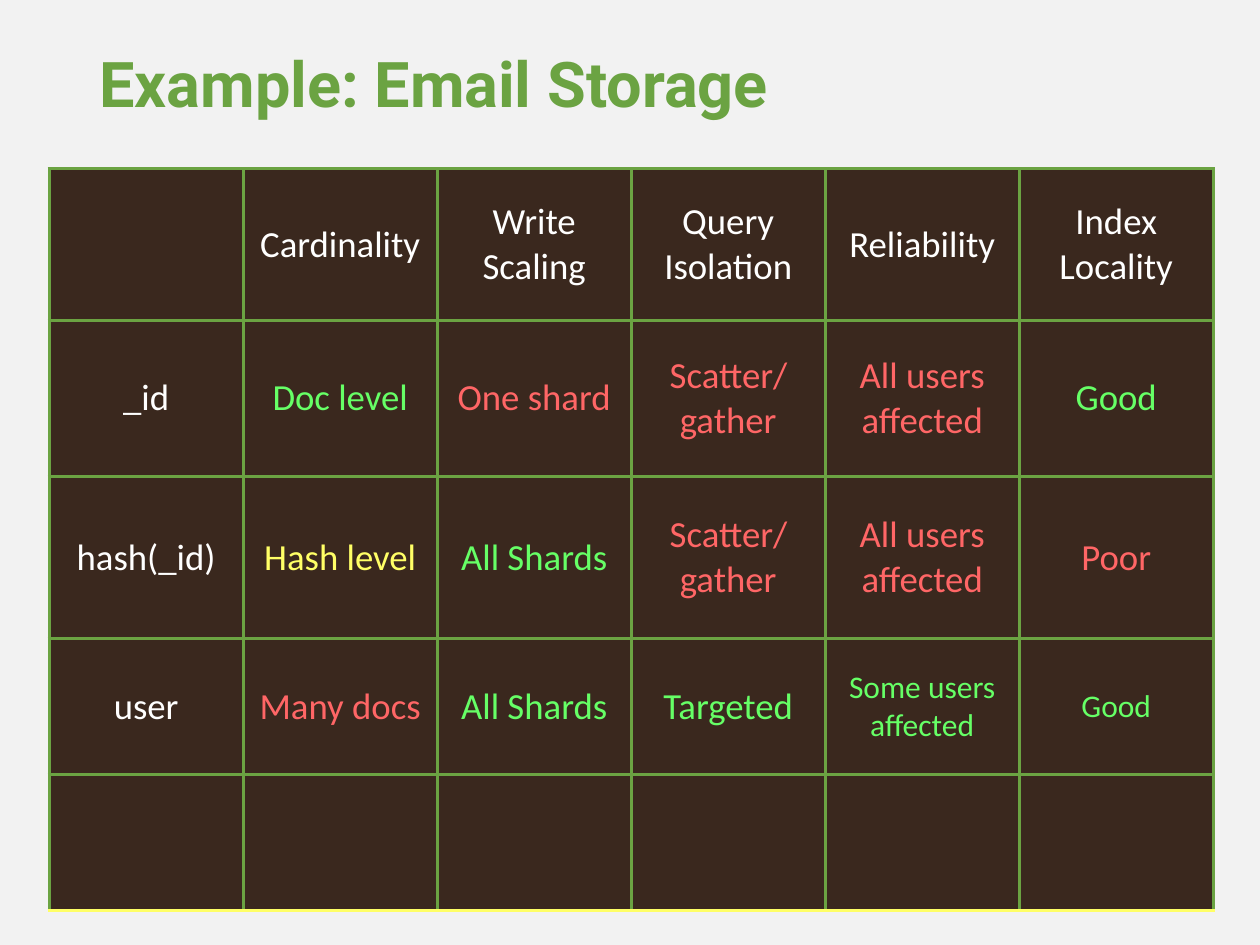
from dataclasses import dataclass

import lxml.etree
import pptx
import pptx.dml.color
import pptx.enum.text
import pptx.oxml.ns
import pptx.util
from pptx.util import Inches


@dataclass(frozen=True)
class Theme:
    background: str = "F2F2F2"
    green: str = "6BA342"
    brown: str = "3A281E"
    neutral: str = "FFFFFF"
    good: str = "66FF66"
    fair: str = "FFFF66"
    bad: str = "FF6666"
    title_font: str = "Roboto"
    body_font: str = "Calibri"
    title_size: int = 36
    body_size: int = 21
    small_size: int = 18
    border_width: int = 2


THEME = Theme()
COLUMN_WIDTH = 1.54
ROW_HEIGHTS = [1.2, 1.24, 1.29, 1.08, 1.08]
HEADERS = ["", "Cardinality", "Write Scaling", "Query Isolation",
           "Reliability", "Index\nLocality"]
SHARD_KEYS = [
    ("_id", [("Doc level", THEME.good), ("One shard", THEME.bad),
             ("Scatter/gather", THEME.bad), ("All users affected", THEME.bad),
             ("Good", THEME.good)]),
    ("hash(_id)", [("Hash level", THEME.fair), ("All Shards", THEME.good),
                   ("Scatter/gather", THEME.bad), ("All users affected", THEME.bad),
                   ("Poor", THEME.bad)]),
    ("user", [("Many docs", THEME.bad), ("All Shards", THEME.good),
              ("Targeted", THEME.good),
              ("Some users affected", THEME.good, THEME.small_size),
              ("Good", THEME.good, THEME.small_size)]),
]


def rgb(color):
    return pptx.dml.color.RGBColor.from_string(color)


def write_text(tf, text, *, size=THEME.body_size, color=THEME.neutral,
               font=THEME.body_font, bold=False, align=None, spacing=None):
    tf.word_wrap = True
    for i, line in enumerate(text.split("\n")):
        p = tf.paragraphs[0] if i == 0 else tf.add_paragraph()
        p.alignment = align
        p.line_spacing = spacing
        r = p.add_run()
        r.text = line
        r.font.name = font
        r.font.size = pptx.util.Pt(size)
        r.font.bold = bold
        r.font.color.rgb = rgb(color)


def add_title(s, text):
    tf = s.shapes.add_textbox(Inches(0.69), Inches(0.37),
                              Inches(8.64), Inches(0.93)).text_frame
    write_text(tf, text, size=THEME.title_size, color=THEME.green,
               font=THEME.title_font, bold=True, spacing=0.9)


def set_borders(cell, bottom):
    qn = pptx.oxml.ns.qn
    tc_pr = cell._tc.get_or_add_tcPr()
    sides = {"L": THEME.green, "R": THEME.green, "T": THEME.green, "B": bottom}
    for i, (side, color) in enumerate(sides.items()):
        ln = lxml.etree.Element(qn(f"a:ln{side}"),
                                w=str(pptx.util.Pt(THEME.border_width)))
        fill = lxml.etree.SubElement(ln, qn("a:solidFill"))
        lxml.etree.SubElement(fill, qn("a:srgbClr"), val=color)
        tc_pr.insert(i, ln)


def format_cell(cell, bottom):
    cell.margin_left = cell.margin_right = Inches(0.04)
    cell.margin_top = cell.margin_bottom = 0
    cell.vertical_anchor = pptx.enum.text.MSO_ANCHOR.MIDDLE
    cell.fill.solid()
    cell.fill.fore_color.rgb = rgb(THEME.brown)
    set_borders(cell, bottom)


def add_comparison_table(s):
    rows = [[(header,) for header in HEADERS]]
    rows += [[(key,), *ratings] for key, ratings in SHARD_KEYS]
    rows.append([("",)] * len(HEADERS))
    table = s.shapes.add_table(
        len(rows), len(HEADERS), Inches(0.39), Inches(1.34),
        Inches(COLUMN_WIDTH * len(HEADERS)), Inches(sum(ROW_HEIGHTS))).table
    table.first_row = table.horz_banding = False
    for column in table.columns:
        column.width = Inches(COLUMN_WIDTH)
    for i, (entries, height) in enumerate(zip(rows, ROW_HEIGHTS)):
        table.rows[i].height = Inches(height)
        bottom = THEME.fair if i == len(rows) - 1 else THEME.green
        for j, (text, *style) in enumerate(entries):
            cell = table.cell(i, j)
            format_cell(cell, bottom)
            if text:
                write_text(cell.text_frame, text,
                           align=pptx.enum.text.PP_ALIGN.CENTER,
                           **dict(zip(("color", "size"), style)))


def main():
    prs = pptx.Presentation()
    prs.slide_width, prs.slide_height = Inches(10), Inches(7.5)
    s = prs.slides.add_slide(prs.slide_layouts[6])
    s.background.fill.solid()
    s.background.fill.fore_color.rgb = rgb(THEME.background)
    add_comparison_table(s)
    add_title(s, "Example: Email Storage")
    prs.save("out.pptx")


if __name__ == "__main__":
    main()
